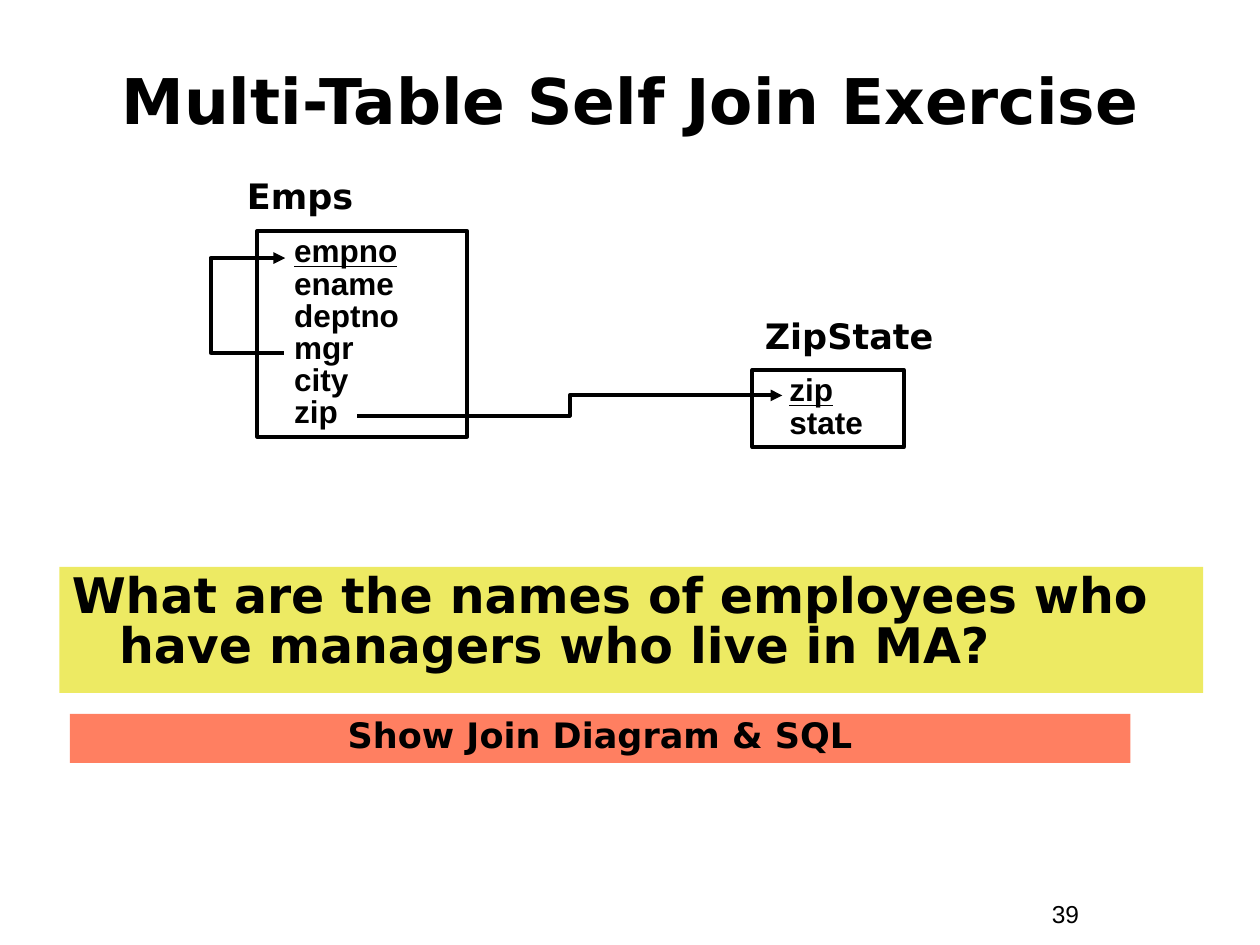
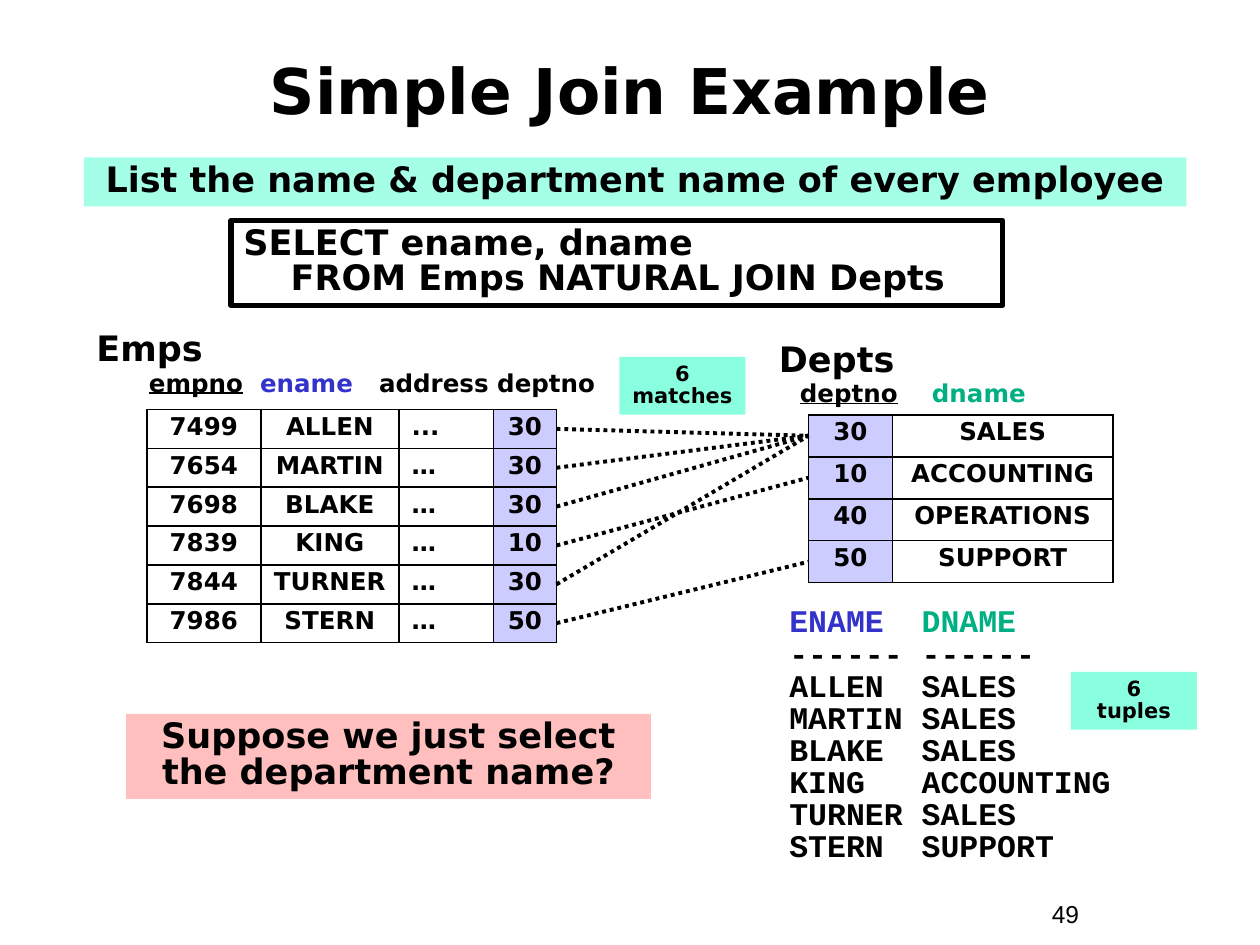
from copy import deepcopy
from dataclasses import dataclass

from lxml import etree
from pptx import Presentation
from pptx import util as u
from pptx.dml.color import RGBColor
from pptx.enum import dml, shapes, text
from pptx.oxml.ns import qn

Pt = u.Pt
CENTER = text.PP_ALIGN.CENTER


@dataclass(frozen=True)
class Theme:
    sans: str = "DejaVu Sans"
    plain: str = "Arial"
    mono: str = "Courier New"
    black: str = "000000"
    blue: str = "3333CC"
    green: str = "00B082"
    yellow: str = "EDEA63"
    coral: str = "FF7F61"
    mint: str = "A5FFE7"
    aqua: str = "89FFE0"
    pink: str = "FFBFBF"
    lilac: str = "CCCCFF"
    title: int = 36
    question: int = 28
    heading: int = 20
    listing: int = 18
    cell: int = 14
    note: int = 12
    tight: float = 0.85
    hanging: int = 27
    grid: float = 1.08
    rule: float = 2.25


T = Theme()


def sub(parent, tag, **attrs):
    return etree.SubElement(parent, qn(tag), attrs)


def write(tf, paragraphs, size=T.heading, font=T.sans, color=T.black, bold=True,
          align=None, spacing=None, left=0, first=0, tabs=(), anchor=text.MSO_ANCHOR.TOP):
    """Fill a text frame; a paragraph is a string or a list of (text, overrides) runs."""
    tf.word_wrap = True
    tf.vertical_anchor = anchor
    if isinstance(paragraphs, str):
        paragraphs = [paragraphs]
    for i, runs in enumerate(paragraphs):
        p = tf.add_paragraph() if i else tf.paragraphs[0]
        p.alignment = align
        p.line_spacing = spacing
        pPr = p._p.get_or_add_pPr()
        if left:
            pPr.set("marL", str(Pt(left)))
            pPr.set("indent", str(Pt(first)))
        if tabs:
            stops = sub(pPr, "a:tabLst")
            for pos in tabs:
                sub(stops, "a:tab", pos=str(Pt(pos)), algn="l")
        for words, own in [(runs, {})] if isinstance(runs, str) else runs:
            for n, line in enumerate(words.split("\n")):
                if n:
                    p.add_line_break()
                    p._p[-1].append(deepcopy(r._r.get_or_add_rPr()))
                r = p.add_run()
                r.text = line
                r.font.size = Pt(size)
                r.font.name = font
                r.font.bold = bold
                r.font.underline = own.get("underline")
                r.font.color.rgb = RGBColor.from_string(own.get("color", color))


class Deck:
    def __init__(self):
        self.prs = Presentation()
        self.prs.slide_width, self.prs.slide_height = Pt(720), Pt(540)
        self.s = None

    def slide(self, title, number, title_top):
        self.s = self.prs.slides.add_slide(self.prs.slide_layouts[6])
        self.label(594, 510, 66, 24, str(number), size=T.cell, font=T.plain, bold=False)
        self.label(24, title_top, 672, 66, title, size=T.title, align=CENTER,
                   anchor=text.MSO_ANCHOR.MIDDLE)

    def label(self, x, y, w, h, words, **fmt):
        sp = self.s.shapes.add_textbox(Pt(x), Pt(y), Pt(w), Pt(h))
        write(sp.text_frame, words, **fmt)

    def box(self, x, y, w, h, words, fill=None, line=None, spacing=T.tight, **fmt):
        sp = self.s.shapes.add_shape(shapes.MSO_SHAPE.RECTANGLE, Pt(x), Pt(y), Pt(w), Pt(h))
        sp.shadow.inherit = False
        if fill:
            sp.fill.solid()
            sp.fill.fore_color.rgb = RGBColor.from_string(fill)
        else:
            sp.fill.background()
        if line:
            sp.line.width = Pt(line)
            sp.line.color.rgb = RGBColor.from_string(T.black)
        else:
            sp.line.fill.background()
        fmt.setdefault("align", text.PP_ALIGN.LEFT)
        write(sp.text_frame, words, spacing=spacing, **fmt)

    def schema(self, x, y, w, h, key, *fields):
        """A relation's field list with its key underlined."""
        self.box(x, y, w, h, [[(key, {"underline": True})], *fields], line=T.rule,
                 size=T.listing, font=T.plain, left=14)

    def connector(self, start, end, kind=shapes.MSO_CONNECTOR.STRAIGHT):
        c = self.s.shapes.add_connector(kind, *(Pt(v) for v in (*start, *end)))
        c.line.width = Pt(T.rule)
        c.line.color.rgb = RGBColor.from_string(T.black)
        sub(c._element.spPr, "a:effectLst")
        return c

    def match(self, start, end):
        self.connector(start, end).line.dash_style = dml.MSO_LINE.ROUND_DOT

    def reference(self, start, end, bend_x):
        """An elbow arrow whose upright part stands at bend_x."""
        c = self.connector(start, end, shapes.MSO_CONNECTOR.ELBOW)
        share = (bend_x - start[0]) / (end[0] - start[0])
        guides = c._element.spPr.find(qn("a:prstGeom")).get_or_add_avLst()
        sub(guides, "a:gd", name="adj1", fmla=f"val {round(share * 100000)}")
        sub(c.line._get_or_add_ln(), "a:tailEnd", type="triangle")

    def table(self, x, y, widths, row_h, rows, key_col, left_col=None):
        """Draw a grid and return the middle height of each row."""
        frame = self.s.shapes.add_table(len(rows), len(widths), Pt(x), Pt(y),
                                        Pt(sum(widths)), Pt(row_h * len(rows)))
        tbl = frame.table
        tbl.first_row = tbl.horz_banding = False
        for col, w in zip(tbl.columns, widths):
            col.width = Pt(w)
        for i, row in enumerate(rows):
            tbl.rows[i].height = Pt(row_h)
            for j, value in enumerate(row):
                self.cell(tbl.cell(i, j), value, j == key_col,
                          text.PP_ALIGN.LEFT if j == left_col else CENTER)
        return [y + row_h * (i + 0.5) for i in range(len(rows))]

    def cell(self, cell, value, is_key, align):
        write(cell.text_frame, value, size=T.cell, align=align, spacing=T.tight)
        tcPr = cell._tc.get_or_add_tcPr()
        for side in ("a:lnL", "a:lnR", "a:lnT", "a:lnB"):
            ln = sub(tcPr, side, w=str(Pt(T.grid)))
            sub(sub(ln, "a:solidFill"), "a:srgbClr", val=T.black)
        if is_key:
            cell.fill.solid()
            cell.fill.fore_color.rgb = RGBColor.from_string(T.lilac)
        else:
            cell.fill.background()


def self_join(d):
    d.slide("Multi-Table Self Join Exercise", 39, 24)

    # Relations
    d.label(134, 96, 155, 32, "Emps")
    d.label(430, 176, 155, 32, "ZipState")
    d.schema(147, 132, 120, 117.5, "empno", "ename", "deptno", "mgr", "city", "zip")
    d.schema(430, 211.5, 86.5, 44, "zip", "state")

    # Foreign keys
    d.reference((204, 237.5), (447, 226), 325.5)
    d.reference((162, 201.5), (163, 147.5), 120)

    # Question and task
    d.box(34, 324, 653.5, 72, "What are the names of employees who have managers who live in MA?",
          fill=T.yellow, size=T.question, left=T.hanging, first=-T.hanging)
    d.box(40, 408, 606, 28, "Show Join Diagram & SQL", fill=T.coral, align=CENTER,
          left=T.hanging, first=-T.hanging)


def simple_join(d):
    d.slide("Simple Join Example", 49, 18)
    key, name, dept = {"underline": True}, {"color": T.blue}, {"color": T.green}

    # Task and query
    d.box(48, 90, 630, 28, "List the name & department name of every employee", fill=T.mint,
          align=CENTER, left=T.hanging, first=-T.hanging)
    d.box(132, 126, 441, 48.5, "SELECT ename, dname\nFROM Emps NATURAL JOIN Depts", line=3,
          left=T.hanging, first=-T.hanging)

    # Both tables
    emps = [("7499", "ALLEN", "...", "30"), ("7654", "MARTIN", "…", "30"),
            ("7698", "BLAKE", "…", "30"), ("7839", "KING", "…", "10"),
            ("7844", "TURNER", "…", "30"), ("7986", "STERN", "…", "50")]
    depts = [("30", "SALES"), ("10", "ACCOUNTING"), ("40", "OPERATIONS"), ("50", "SUPPORT")]
    d.label(48, 183, 155, 32, "Emps")
    d.label(78, 206.5, 270, 24.5,
            [[("empno", key), ("\t", {}), ("ename", name), ("\taddress deptno", {})]],
            size=T.cell, tabs=(63.5, 131.5))
    emps_x, emps_w = 84, (65, 79, 54, 36)
    emps_y = d.table(emps_x, 234, emps_w, 22.2, emps, key_col=3, left_col=2)
    d.label(438, 189.5, 155, 32, "Depts")
    d.label(450, 212.5, 180, 24.5,
            [[("deptno", key), ("\t", {}), ("dname", dept), ("\t", key)]],
            size=T.cell, tabs=(75.5, 139))
    depts_x = 462
    depts_y = d.table(depts_x, 237, (48, 126), 24, depts, key_col=0)

    # Matching department numbers
    row_of = {number: y for (number, _), y in zip(depts, depts_y)}
    for emp, y in zip(emps, emps_y):
        d.match((emps_x + sum(emps_w), y), (depts_x, row_of[emp[3]]))

    # Query result
    dept_names = dict(depts)
    result = [f"{emp[1]}\t{dept_names[emp[3]]}" for emp in emps]
    d.label(444, 343.5, 210, 154, [[("ENAME\t", name), ("DNAME", dept)], "------\t------", *result],
            size=T.listing, font=T.mono, spacing=T.tight, tabs=(75.6,))

    # Notes
    d.box(72, 408, 300, 48.5, "Suppose we just select the department name?", fill=T.pink,
          align=CENTER)
    for x, y, words in ((354, 204, "6\nmatches"), (612, 384, "6\ntuples")):
        d.box(x, y, 72, 33, words, fill=T.aqua, size=T.note, align=CENTER, spacing=0.9)


def main():
    d = Deck()
    self_join(d)
    simple_join(d)
    d.prs.save("out.pptx")


if __name__ == "__main__":
    main()
